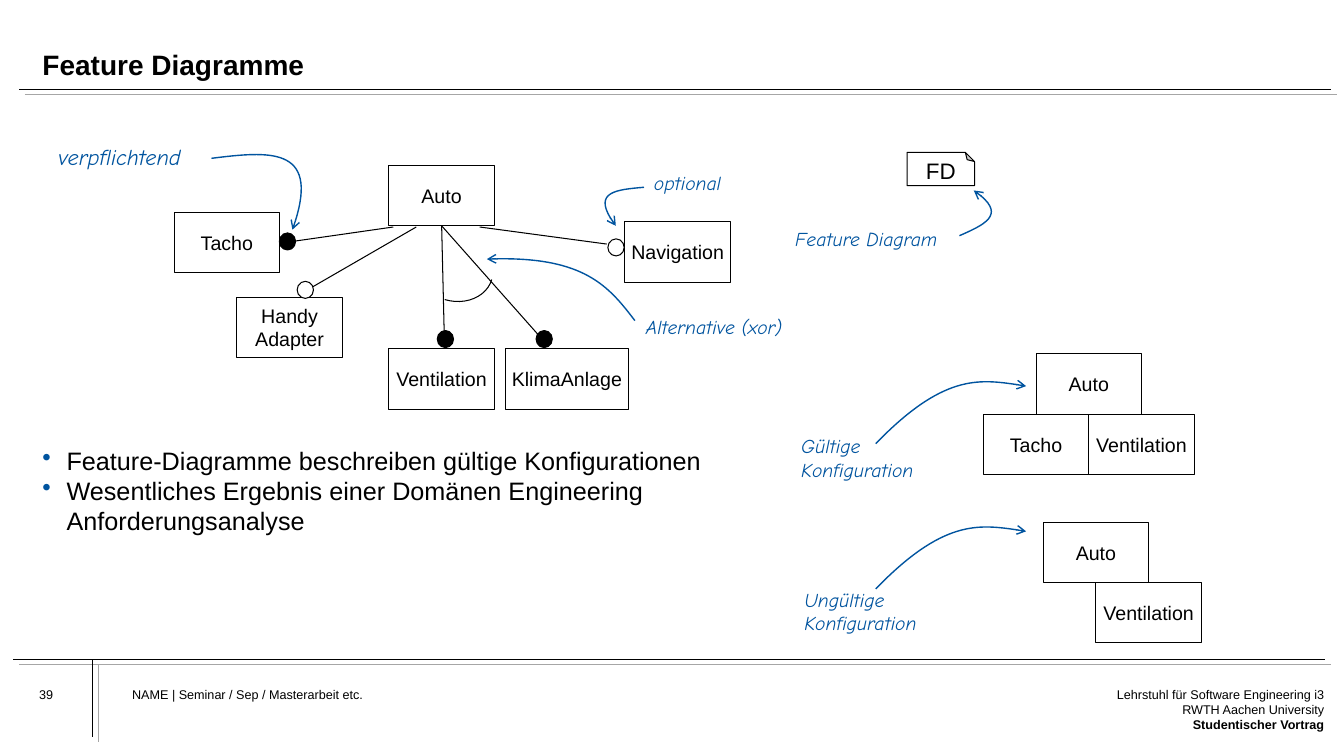
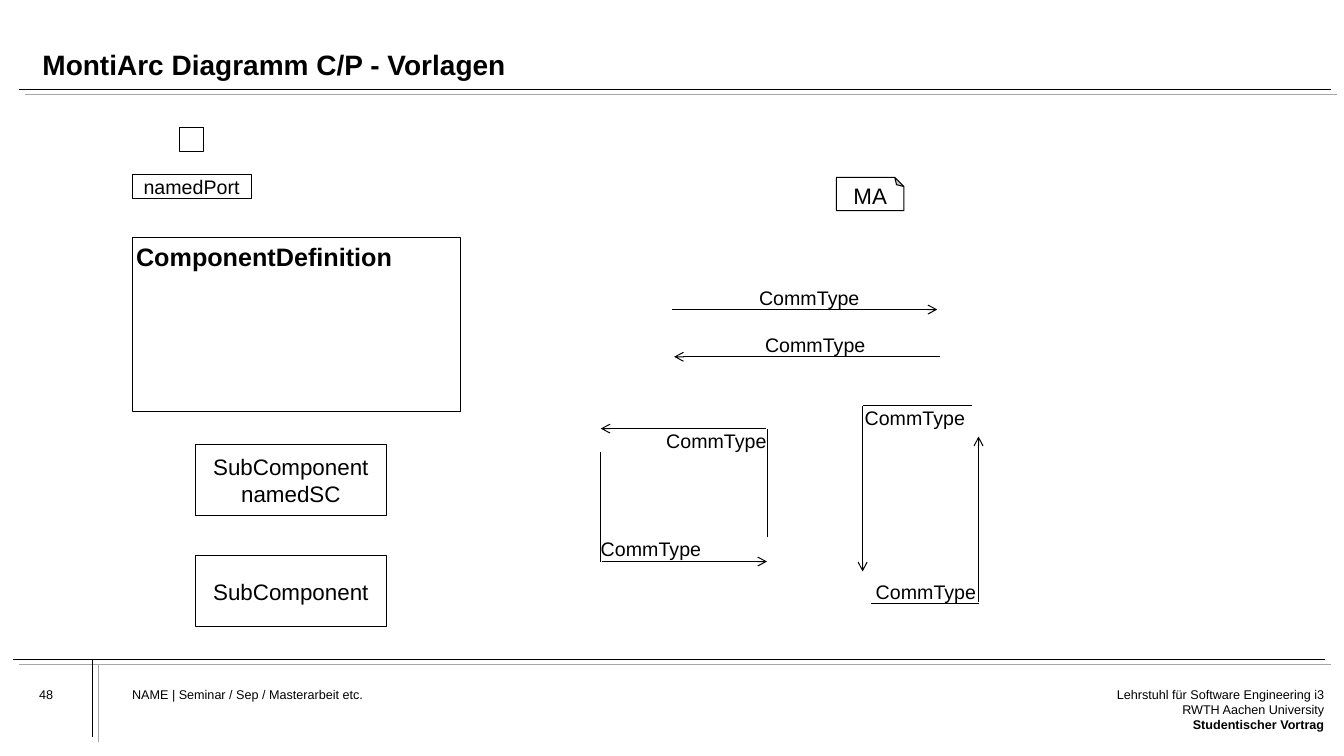
"""Build a feature diagram slide and a component diagram slide."""
from dataclasses import dataclass
from typing import NamedTuple, Optional

from lxml import etree
from pptx import Presentation
from pptx.dml.color import RGBColor
from pptx.dml.line import LineFormat
from pptx.enum.shapes import MSO_CONNECTOR, MSO_SHAPE
from pptx.enum.text import MSO_ANCHOR, PP_ALIGN
from pptx.oxml.ns import qn
from pptx.shapes.autoshape import Shape
from pptx.shapes.connector import Connector
from pptx.slide import Slide
from pptx.text.text import TextFrame
from pptx.util import Cm, Pt

RECT, OVAL, ARC, FOLD = MSO_SHAPE.RECTANGLE, MSO_SHAPE.OVAL, MSO_SHAPE.ARC, MSO_SHAPE.FOLDED_CORNER
LINE = MSO_CONNECTOR.STRAIGHT
LEFT, MID, RIGHT = PP_ALIGN.LEFT, PP_ALIGN.CENTER, PP_ALIGN.RIGHT
TOP, CENTER, LOW = MSO_ANCHOR.TOP, MSO_ANCHOR.MIDDLE, MSO_ANCHOR.BOTTOM
BOTTOM_SIDE = 2

@dataclass(frozen=True)
class Theme:
    ink: RGBColor = RGBColor(0, 0, 0)
    paper: RGBColor = RGBColor(255, 255, 255)
    grey: RGBColor = RGBColor(0xA6, 0xA6, 0xA6)
    blue: RGBColor = RGBColor(0x00, 0x54, 0x9F)
    sans: str = "Arial"
    hand: str = "Comic Neue"
    title: float = 20
    body: float = 18
    large: float = 16
    small: float = 14
    foot: float = 9
    thin: float = 0.5
    plain: float = 0.75
    bold: float = 1

THEME = Theme()

@dataclass(frozen=True)
class Style:
    size: float = THEME.small
    align: PP_ALIGN = LEFT
    anchor: MSO_ANCHOR = TOP
    inset: Optional[float] = None
    wrap: bool = True
    bold: bool = False
    hand: bool = False
    lead: Optional[float] = None

BOX = Style(align=MID, anchor=CENTER, wrap=False)
PART = Style(THEME.large, MID, CENTER)
HEAD = Style(THEME.body, inset=0.1, bold=True)
TAG = Style(THEME.large, MID, CENTER, wrap=False, lead=0.7)
TITLE = Style(THEME.title, anchor=LOW, inset=0, bold=True, lead=0.9)
FOOT = Style(THEME.foot, inset=0)
END = Style(THEME.foot, RIGHT, inset=0)
BODY = Style(THEME.body, inset=0)
TYPE = Style(inset=0, wrap=False)
NOTE = Style(hand=True)
LARGE = Style(THEME.large, hand=True)

class Point(NamedTuple):
    x: float
    y: float

class Area(NamedTuple):
    x: float
    y: float
    w: float = 2.66
    h: float = 1.52

class Box(NamedTuple):
    text: str
    area: Area
    style: Style = BOX
    weight: float = THEME.plain

class Note(NamedTuple):
    text: str
    area: Area
    curve: tuple[Point, ...]
    style: Style = NOTE

class Flow(NamedTuple):
    start: Point
    end: Point
    label: Point
    stub: Optional[tuple[Point, Point]] = None

RULES = (
    (Point(0.48, 2.26), Point(33.55, 2.26)),
    (Point(0.33, 16.61), Point(33.38, 16.61)),
    (Point(2.34, 16.61), Point(2.34, 18.57)),
)
SHIFT = Point(0.15, 0.13)

AUTO = Box("Auto", Area(9.8, 4.17))
PARTS = (
    Box("KlimaAnlage", Area(12.73, 8.79, 3.12)), Box("Handy\nAdapter", Area(5.97, 7.49)),
    Box("Ventilation", Area(9.8, 8.79)), Box("Navigation", Area(15.75, 5.59)),
    Box("Tacho", Area(4.39, 5.36)),
)
SIDES = (
    (Point(9.91, 5.72), Point(7.26, 6.1)),
    (Point(12.09, 5.72), Point(15.29, 6.15)),
    (Point(10.49, 5.72), Point(7.72, 7.32)),
)
CHOICES = (Point(11.2, 8.59), Point(13.79, 8.69))
DOTS = {
    THEME.ink: (Point(7.04, 5.87), Point(11.02, 8.33), Point(13.51, 8.33)),
    THEME.paper: (Point(15.32, 6.02), Point(7.49, 7.09)),
}
SWEEP = (Point(22.07, 11.18), Point(23.75, 9.45), Point(24.79, 9.55), Point(25.86, 9.73))
NOTES = (
    Note("optional", Area(16.23, 4.19, 2.6, 0.84),
         (Point(16.23, 4.72), Point(15.52, 4.78), Point(14.88, 4.85), Point(15.52, 5.69))),
    Note("Alternative (xor)", Area(16.03, 7.8, 4.47, 0.84),
         (Point(16, 8.08), Point(15.34, 7.21), Point(14.68, 6.43), Point(12.27, 6.53))),
    Note("verpflichtend", Area(1.22, 3.48, 4.11, 0.94),
         (Point(5.33, 3.99), Point(6.78, 3.81), Point(8.13, 3.68), Point(7.37, 5.79)), LARGE),
    Note("Feature Diagram", Area(19.79, 5.59, 4.34, 0.84),
         (Point(24.18, 5.94), Point(24.82, 5.66), Point(25.4, 5.38), Point(24.54, 4.8))),
    Note("Gültige\nKonfiguration", Area(19.94, 10.82, 3.66, 1.45), SWEEP),
    Note("Ungültige\nKonfiguration", Area(20.02, 14.68, 3.66, 1.45),
         tuple(Point(p.x, p.y + 3.66) for p in SWEEP)),
)
SETUPS = (
    (Area(26.11, 8.92), {"Tacho": -0.5, "Ventilation": 0.5}),
    (Area(26.29, 13.16), {"Ventilation": 0.5}),
)
POINTS = (
    "Feature-Diagramme beschreiben gültige Konfigurationen",
    "Wesentliches Ergebnis einer Domänen Engineering Anforderungsanalyse",
)
MODELS = (
    Box("", Area(4.52, 3.2, 0.61, 0.61), weight=THEME.thin),
    Box("namedPort", Area(3.33, 4.39, 3, 0.61), weight=THEME.thin),
    Box("ComponentDefinition", Area(3.33, 5.99, 8.28, 4.37), HEAD),
    Box("SubComponent\nnamedSC", Area(4.93, 11.2, 4.8, 1.8), PART),
    Box("SubComponent", Area(4.93, 14, 4.8, 1.8), PART),
)
FLOWS = (
    Flow(Point(16.94, 7.8), Point(23.62, 7.8), Point(19.13, 7.21)),
    Flow(Point(23.7, 8.99), Point(16.99, 8.99), Point(19.28, 8.38)),
    Flow(Point(15.16, 14.15), Point(19.33, 14.15), Point(15.14, 13.54),
         (Point(15.14, 11.4), Point(15.14, 14.15))),
    Flow(Point(21.74, 10.24), Point(21.74, 14.4), Point(21.79, 10.24),
         (Point(24.49, 10.21), Point(21.74, 10.21))),
    Flow(Point(24.66, 15.16), Point(24.66, 11), Point(22.07, 14.61),
         (Point(21.95, 15.21), Point(24.66, 15.21))),
    Flow(Point(19.3, 10.8), Point(15.14, 10.8), Point(16.79, 10.8),
         (Point(19.33, 13.54), Point(19.33, 10.82))),
)

def write(frame: TextFrame, text: str, style: Style) -> None:
    frame.text = text
    frame.word_wrap = style.wrap
    frame.vertical_anchor = style.anchor
    if style.inset is not None:
        frame.margin_left = frame.margin_right = Cm(style.inset)
        frame.margin_top = frame.margin_bottom = Cm(style.inset)
    for para in frame.paragraphs:
        para.alignment = style.align
        if style.lead:
            para.line_spacing = style.lead
        for run in para.runs:
            font = run.font
            font.name = THEME.hand if style.hand else THEME.sans
            font.size = Pt(style.size)
            font.bold, font.italic = style.bold, style.hand
            font.color.rgb = THEME.blue if style.hand else THEME.ink

def label(slide: Slide, text: str, area: Area, style: Style) -> TextFrame:
    frame = slide.shapes.add_textbox(*map(Cm, area)).text_frame
    write(frame, text, style)
    return frame

def stroke(line: LineFormat, color: RGBColor, weight: float, arrow: bool = False) -> None:
    line.color.rgb = color
    line.width = Pt(weight)
    if arrow:
        etree.SubElement(line._get_or_add_ln(), qn("a:tailEnd"), type="arrow")

def shape(slide: Slide, kind: MSO_SHAPE, area: Area, fill: RGBColor = THEME.paper,
          weight: float = THEME.plain) -> Shape:
    item = slide.shapes.add_shape(kind, *map(Cm, area))
    item.shadow.inherit = False
    item.fill.solid()
    item.fill.fore_color.rgb = fill
    stroke(item.line, THEME.ink, weight)
    return item

def draw_box(slide: Slide, box: Box) -> Shape:
    item = shape(slide, RECT, box.area, weight=box.weight)
    if box.text:
        write(item.text_frame, box.text, box.style)
    return item

def link(slide: Slide, start: Point, end: Point, weight: float = THEME.plain,
         color: RGBColor = THEME.ink, arrow: bool = False) -> Connector:
    item = slide.shapes.add_connector(LINE, *map(Cm, (*start, *end)))
    stroke(item.line, color, weight, arrow)
    etree.SubElement(item._element.spPr, qn("a:effectLst"))
    return item

def draw_curve(slide: Slide, points: tuple[Point, ...]) -> None:
    first, *rest = [(Cm(p.x), Cm(p.y)) for p in points]
    pen = slide.shapes.build_freeform(*first)
    pen.add_line_segments(rest, close=False)
    item = pen.convert_to_shape()
    item.shadow.inherit = False
    item.fill.background()
    stroke(item.line, THEME.blue, THEME.bold, True)
    track = next(item._element.iter(qn("a:path")))
    bend = etree.SubElement(track, qn("a:cubicBezTo"))
    for step in track.findall(qn("a:lnTo")):
        bend.append(step[0])
        track.remove(step)

def draw_tag(slide: Slide, text: str, x: float, y: float) -> None:
    item = shape(slide, FOLD, Area(x, y, 1.7, 0.84))
    guides = next(item._element.iter(qn("a:avLst")))
    etree.SubElement(guides, qn("a:gd"), name="adj", fmla="val 27600")
    item._element.spPr.xfrm.set("flipV", "1")
    write(item.text_frame, text, TAG)
    item.text_frame._txBody.bodyPr.set("rot", "10800000")

def add_bullets(slide: Slide) -> None:
    frame = label(slide, "\n".join(POINTS), Area(1.07, 11.22, 16.76, 4.4), BODY)
    for para in frame.paragraphs:
        props = para._p.get_or_add_pPr()
        props.set("marL", str(Cm(0.61)))
        props.set("indent", str(-Cm(0.61)))
        tint = etree.SubElement(props, qn("a:buClr"))
        etree.SubElement(tint, qn("a:srgbClr"), val=str(THEME.blue))
        etree.SubElement(props, qn("a:buChar"), char="•")

def add_page(deck: Presentation, title: str, number: int) -> Slide:
    slide = deck.slides.add_slide(deck.slide_layouts[6])
    for rule in RULES:
        link(slide, *rule, THEME.thin)
        link(slide, *(Point(p.x + SHIFT.x, p.y + SHIFT.y) for p in rule), THEME.thin, THEME.grey)
    label(slide, title, Area(1.07, 0.56, 31.9, 1.5), TITLE)
    label(slide, str(number), Area(0.99, 17.3, 2.03, 1.09), FOOT)
    label(slide, "NAME | Seminar / Sep / Masterarbeit etc.", Area(3.33, 17.3, 19.46, 1.75), FOOT)
    chair = "Lehrstuhl für Software Engineering i3\nRWTH Aachen University\nStudentischer Vortrag"
    frame = label(slide, chair, Area(27.91, 17.3, 5.46, 1.75), END)
    frame.paragraphs[-1].runs[0].font.bold = True
    return slide

def add_feature(deck: Presentation) -> None:
    slide = add_page(deck, "Feature Diagramme", 39)
    add_bullets(slide)
    for box in PARTS:
        draw_box(slide, box)
    auto = draw_box(slide, AUTO)
    for side in SIDES:
        link(slide, *side)
    for end in CHOICES:
        link(slide, Point(11.13, 5.69), end).begin_connect(auto, BOTTOM_SIDE)
    for color, dots in DOTS.items():
        for dot in dots:
            shape(slide, OVAL, Area(*dot, 0.41, 0.43), color)
    arc = shape(slide, ARC, Area(10.62, 5.77, 1.65, 1.98))
    arc.fill.background()
    arc.rotation = 106.8
    for area, kids in SETUPS:
        draw_box(slide, Box("Auto", area))
        for name, shift in kids.items():
            draw_box(slide, Box(name, Area(area.x + shift * area.w, area.y + area.h)))
    for note in NOTES:
        draw_curve(slide, note.curve)
        label(slide, note.text, note.area, note.style)
    draw_tag(slide, "FD", 22.86, 3.84)

def add_model(deck: Presentation) -> None:
    slide = add_page(deck, "MontiArc Diagramm C/P - Vorlagen", 48)
    for box in MODELS:
        draw_box(slide, box)
    for flow in FLOWS:
        if flow.stub:
            link(slide, *flow.stub, THEME.thin)
        link(slide, flow.start, flow.end, arrow=True)
        label(slide, "CommType", Area(*flow.label, 2.54, 0.61), TYPE)
    draw_tag(slide, "MA", 21.08, 4.47)

def main() -> None:
    deck = Presentation()
    deck.slide_width, deck.slide_height = Cm(33.87), Cm(19.05)
    add_feature(deck)
    add_model(deck)
    deck.save("out.pptx")

if __name__ == "__main__":
    main()
